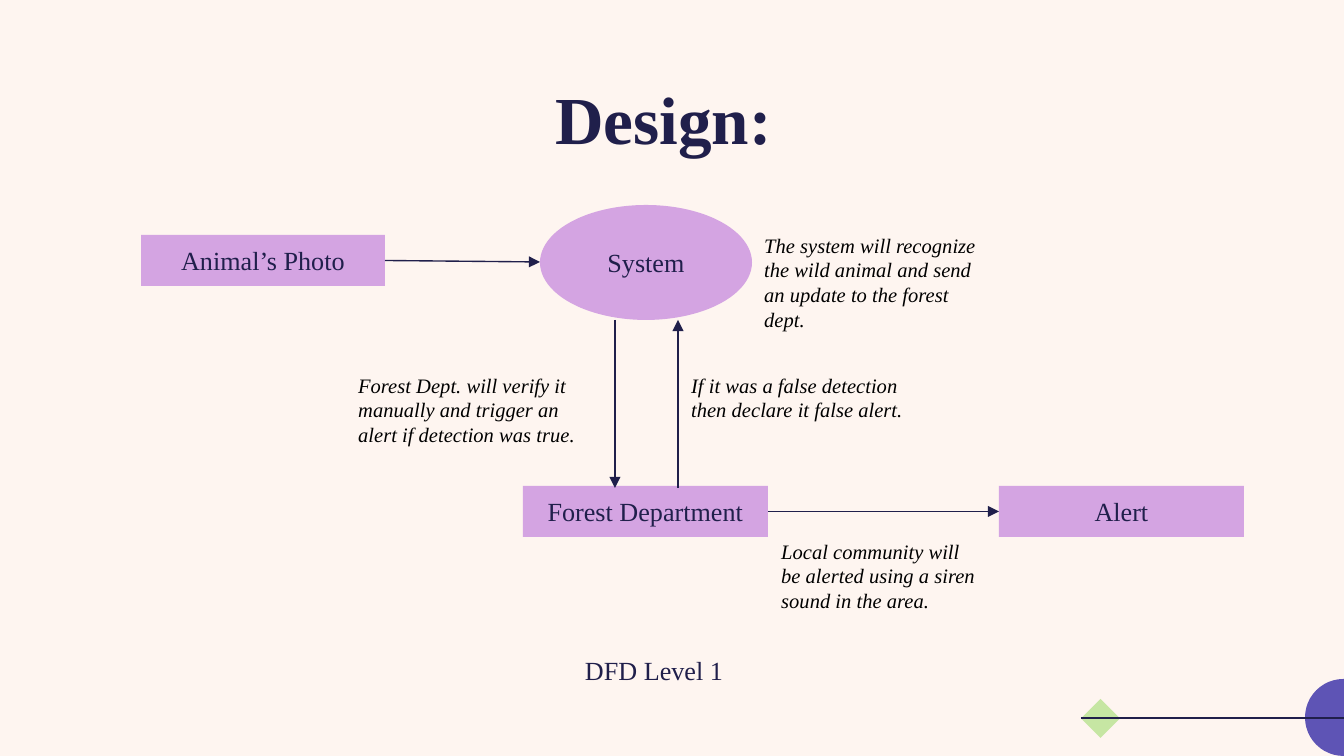
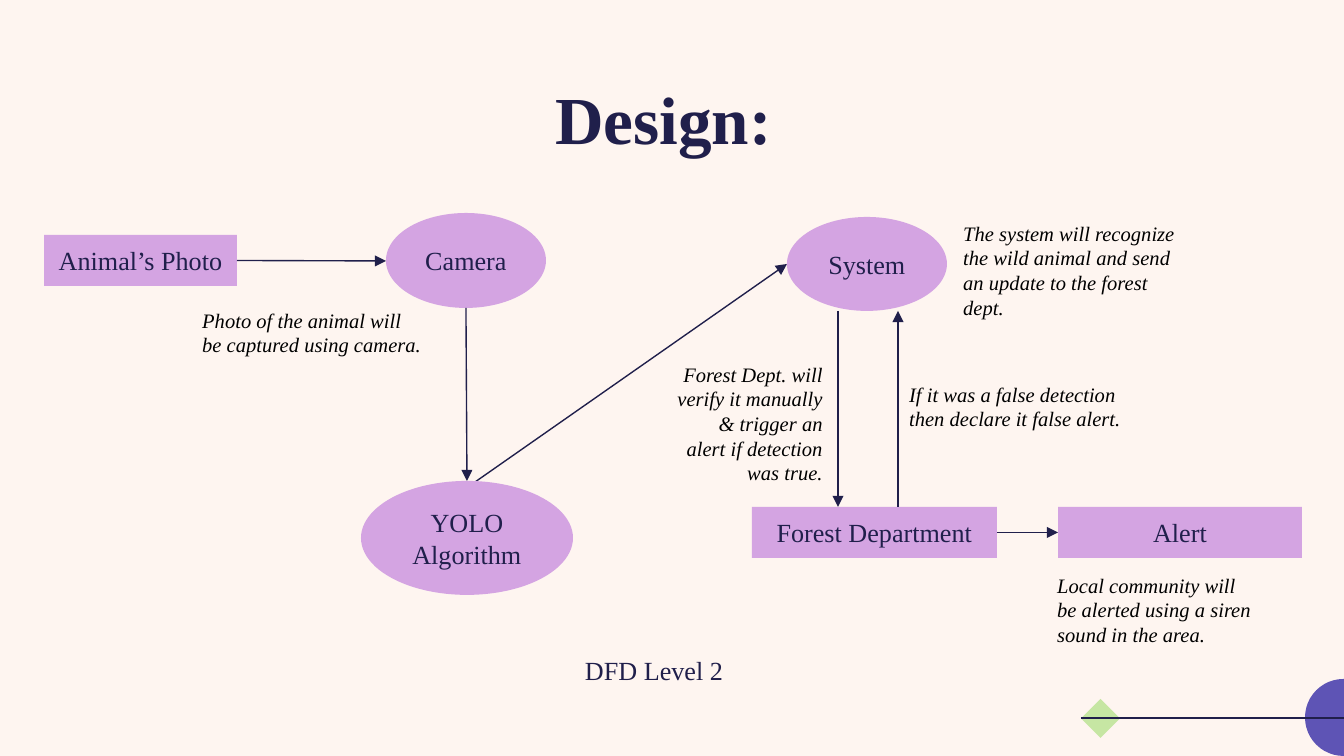
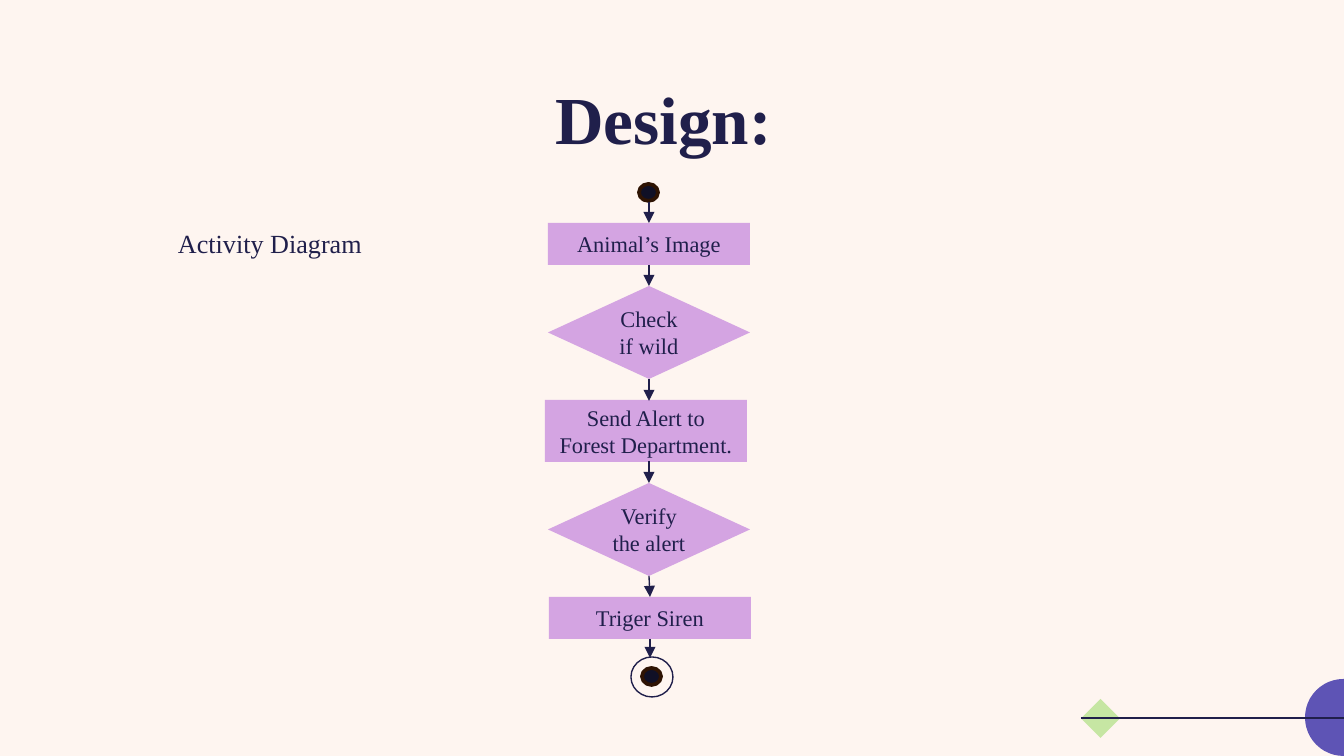
from lxml.etree import SubElement
from pptx import Presentation
from pptx.dml.color import RGBColor
from pptx.enum.shapes import MSO_CONNECTOR as CONN, MSO_SHAPE as SHAPE
from pptx.enum.text import MSO_ANCHOR as ANCHOR, MSO_AUTO_SIZE as AUTO, PP_ALIGN as ALIGN
from pptx.oxml.ns import qn
from pptx.util import Emu, Pt

PX_PER_INCH = 134.4
WIDTH, HEIGHT = 1344, 756
FONT = "Times New Roman"

CREAM = RGBColor(0xFE, 0xF5, 0xF0)
NAVY = RGBColor(0x20, 0x1F, 0x4B)
LILAC = RGBColor(0xD4, 0xA4, 0xE2)
VIOLET = RGBColor(0x5E, 0x54, 0xB5)
GREEN = RGBColor(0xC6, 0xE6, 0xA3)
BLACK = RGBColor(0, 0, 0)
DOT = RGBColor(0x10, 0x10, 0x26)
DOT_RIM = RGBColor(0x2E, 0x13, 0x03)

TOP, LEFT, BOTTOM, RIGHT = range(4)

RECOGNIZE = "The system will recognize the wild animal and send an update to the forest dept."
FALSE_ALERT = "If it was a false detection then declare it false alert."
SIREN = "Local community will be alerted using a siren sound in the area."


def px(n):
    return Emu(round(n * 914400 / PX_PER_INCH))


class Deck:
    def __init__(self):
        self.prs = Presentation()
        self.prs.slide_width, self.prs.slide_height = px(WIDTH), px(HEIGHT)
        fill = self.prs.slide_master.background.fill
        fill.solid()
        fill.fore_color.rgb = CREAM

    def new_slide(self, title, caption, caption_box):
        """Start a slide with its title, corner ornament and caption."""
        self.slide = self.prs.slides.add_slide(self.prs.slide_layouts[5])
        self.shapes = self.slide.shapes
        self.shape(SHAPE.OVAL, (1305, 679, 77, 77), VIOLET)
        self.shape(SHAPE.DIAMOND, (1081, 699, 39, 39), GREEN)
        self.line((1081, 718), (1383, 718), 1.5)

        sp = self.shapes.title
        sp.left, sp.top, sp.width, sp.height = map(px, (120, 47, 1087, 124))
        self.set_text(sp, title, 36, align=ALIGN.CENTER, anchor=ANCHOR.BOTTOM, bold=True)
        self.inset(sp, 13)

        sp = self.shapes.add_textbox(*map(px, caption_box))
        self.set_text(sp, caption, 14, align=ALIGN.JUSTIFY)
        self.inset(sp, 34)

    def inset(self, sp, left):
        tf = sp.text_frame
        tf.margin_left = px(left)
        tf.margin_top = tf.margin_right = tf.margin_bottom = px(13)

    def set_text(self, sp, text, size, color=NAVY, align=ALIGN.LEFT, anchor=ANCHOR.TOP,
                 bold=False, italic=False):
        tf = sp.text_frame
        tf.text = text
        tf.word_wrap = True
        tf.auto_size = AUTO.NONE
        tf.vertical_anchor = anchor
        p = tf.paragraphs[0]
        p.alignment = align
        p.font.name, p.font.size = FONT, Pt(size)
        p.font.bold, p.font.italic = bold, italic
        p.font.color.rgb = color

    def shape(self, kind, box, fill=None, line=None, line_width=0.75):
        sp = self.shapes.add_shape(kind, *map(px, box))
        sp.shadow.inherit = False
        if fill is None:
            sp.fill.background()
        else:
            sp.fill.solid()
            sp.fill.fore_color.rgb = fill
        if line is None:
            sp.line.fill.background()
        else:
            sp.line.color.rgb = line
            sp.line.width = Pt(line_width)
        return sp

    def node(self, text, box, kind=SHAPE.RECTANGLE, size=14):
        sp = self.shape(kind, box, LILAC)
        self.set_text(sp, text, size, align=ALIGN.CENTER, anchor=ANCHOR.MIDDLE)
        return sp

    def dot(self, x, y):
        self.shape(SHAPE.OVAL, (x, y, 19, 17), DOT, DOT_RIM, 2)

    def note(self, text, box, align=ALIGN.LEFT):
        sp = self.shapes.add_textbox(*map(px, box))
        self.set_text(sp, text, 11, BLACK, align, italic=True)
        sp.text_frame.auto_size = AUTO.SHAPE_TO_FIT_TEXT

    def line(self, start, end, width=0.75):
        cx = self.shapes.add_connector(CONN.STRAIGHT, *map(px, start + end))
        cx.line.color.rgb = NAVY
        cx.line.width = Pt(width)
        SubElement(cx._element.spPr, qn("a:effectLst"))
        return cx

    def arrow(self, start, end):
        """Draw an arrow; each end is an (x, y) point or a (shape, side) joint."""
        def is_point(place):
            return isinstance(place[0], int)

        cx = self.line(start if is_point(start) else (0, 0),
                       end if is_point(end) else (0, 0))
        if not is_point(start):
            cx.begin_connect(*start)
        if not is_point(end):
            cx.end_connect(*end)
        SubElement(cx._element.spPr.get_or_add_ln(), qn("a:tailEnd"), type="triangle")


def dfd_level_1(deck):
    deck.new_slide("Design:", "DFD Level 1", (551, 641, 191, 63))
    photo = deck.node("Animal’s Photo", (141, 235, 244, 51))
    alert = deck.node("Alert", (999, 486, 245, 51))
    deck.node("System", (540, 205, 212, 115), SHAPE.OVAL)
    forest = deck.node("Forest Department", (523, 486, 245, 51))

    deck.arrow((photo, RIGHT), (540, 262))
    deck.arrow((615, 320), (615, 488))
    deck.arrow((678, 488), (678, 320))
    deck.arrow((forest, RIGHT), (alert, LEFT))

    deck.note(RECOGNIZE, (751, 226, 247, 113))
    deck.note("Forest Dept. will verify it manually and trigger an alert if detection was true.",
              (345, 366, 247, 89))
    deck.note(SIREN, (768, 532, 222, 89))
    deck.note(FALSE_ALERT, (678, 366, 247, 63))


def dfd_level_2(deck):
    deck.new_slide("Design:", "DFD Level 2", (551, 641, 191, 63))
    photo = deck.node("Animal’s Photo", (44, 235, 193, 51))
    alert = deck.node("Alert", (1058, 507, 244, 51))
    deck.node("Camera", (386, 213, 160, 95), SHAPE.OVAL)
    forest = deck.node("Forest Department", (752, 507, 245, 51))

    deck.arrow((photo, RIGHT), (386, 261))
    deck.arrow((466, 308), (467, 481))
    deck.arrow((468, 487), (787, 264))
    deck.node("YOLO Algorithm", (361, 481, 212, 114), SHAPE.OVAL)
    deck.node("System", (787, 217, 160, 94), SHAPE.OVAL)
    deck.arrow((838, 311), (838, 507))
    deck.arrow((898, 507), (898, 311))
    deck.arrow((forest, RIGHT), (alert, LEFT))

    deck.note(RECOGNIZE, (950, 214, 247, 113))
    deck.note("Forest Dept. will verify it manually & trigger an alert if detection was true.",
              (663, 355, 173, 138), ALIGN.RIGHT)
    deck.note(SIREN, (1044, 566, 222, 89))
    deck.note(FALSE_ALERT, (896, 375, 247, 63))
    deck.note("Photo of the animal will be captured using camera.", (189, 301, 247, 63))


def activity_diagram(deck):
    deck.new_slide("Design:", "Activity Diagram", (144, 214, 237, 63))
    deck.dot(639, 184)
    image = deck.node("Animal’s Image", (548, 223, 202, 42), size=12)
    check = deck.node("Check if wild", (548, 286, 202, 93), SHAPE.FLOWCHART_DECISION, 12)
    deck.node("Send Alert to Forest Department.", (545, 400, 202, 62), size=12)
    verify = deck.node("Verify the alert", (548, 483, 202, 93), SHAPE.FLOWCHART_DECISION, 12)
    siren = deck.node("Triger Siren", (549, 597, 202, 42), size=12)
    deck.dot(642, 668)
    deck.shape(SHAPE.OVAL, (631, 657, 42, 40), line=NAVY)

    deck.arrow((649, 202), (image, TOP))
    deck.arrow((image, BOTTOM), (check, TOP))
    deck.arrow((check, BOTTOM), (649, 401))
    deck.arrow((649, 461), (verify, TOP))
    deck.arrow((verify, BOTTOM), (siren, TOP))
    deck.arrow((siren, BOTTOM), (650, 658))


def main():
    deck = Deck()
    dfd_level_1(deck)
    dfd_level_2(deck)
    activity_diagram(deck)
    deck.prs.save("out.pptx")


if __name__ == "__main__":
    main()
